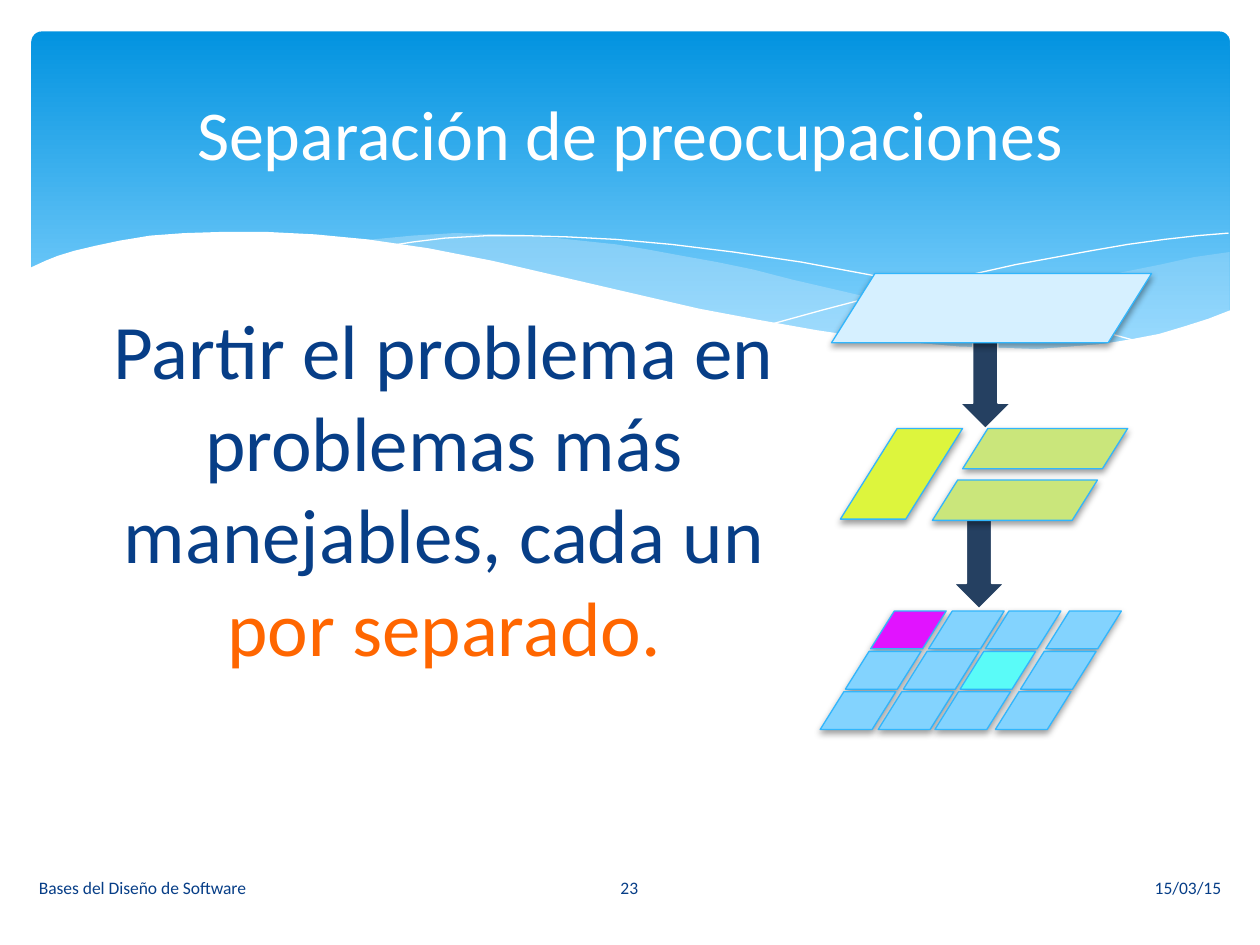
from lxml.etree import SubElement
from pptx import Presentation
from pptx.dml.color import RGBColor
from pptx.enum.shapes import MSO_SHAPE
from pptx.enum.text import MSO_ANCHOR, PP_ALIGN
from pptx.oxml.ns import qn
from pptx.util import Inches, Pt

WHITE = RGBColor(0xFF, 0xFF, 0xFF)
NAVY = RGBColor(0x07, 0x3E, 0x87)
ORANGE = RGBColor(0xFF, 0x66, 0x00)
DEEP = RGBColor(0x02, 0x93, 0xE0)
SKY = RGBColor(0x83, 0xD3, 0xFE)
MIST = RGBColor(0xC6, 0xE7, 0xFC)
PALE = RGBColor(0xD6, 0xF0, 0xFF)
EDGE = RGBColor(0x31, 0xB6, 0xFD)
LIME = RGBColor(0xDD, 0xF5, 0x3D)
GREEN = RGBColor(0xCA, 0xE6, 0x7B)
PINK = RGBColor(0xE1, 0x13, 0xFF)
AQUA = RGBColor(0x5A, 0xFB, 0xF8)
SLATE = RGBColor(0x25, 0x40, 0x61)

RIGHT_WAVE = [
    (9.76, 2), (9.48, 2.04), (9.21, 2.1), (8.91, 2.16), (8.61, 2.23),
    (8.05, 2.37), (7.53, 2.48), (7.06, 2.57), (6.61, 2.65), (6.91, 2.69),
    (7.19, 2.72), (7.45, 2.75), (7.69, 2.77), (8.03, 2.78), (8.35, 2.77),
    (8.63, 2.75), (8.89, 2.72), (9.13, 2.67), (9.35, 2.62), (9.49, 2.57),
    (9.63, 2.52), (9.76, 2.47)]
LEFT_WAVE = [
    (8.93, 2.73), (8.66, 2.69), (8.37, 2.65), (8.07, 2.6), (7.75, 2.54),
    (7.41, 2.47), (7.06, 2.4), (6.68, 2.31), (6.29, 2.22), (5.98, 2.14),
    (5.69, 2.08), (5.41, 2.03), (5.14, 1.98), (4.89, 1.94), (4.42, 1.89),
    (3.99, 1.86), (3.61, 1.85), (3.28, 1.87), (2.86, 1.91), (3.23, 1.96),
    (3.62, 2.03), (4.04, 2.11), (4.49, 2.22), (4.91, 2.32), (5.3, 2.4),
    (5.66, 2.48), (6.01, 2.55), (6.34, 2.61), (6.65, 2.66), (6.95, 2.7),
    (7.22, 2.74), (7.48, 2.76), (7.85, 2.78), (8.28, 2.78), (8.57, 2.77)]
FALL_LINE = [
    (3.09, 1.95), (3.28, 1.92), (3.53, 1.89), (3.87, 1.87), (4.16, 1.87),
    (4.5, 1.88), (4.89, 1.9), (5.33, 1.94), (5.82, 2), (6.36, 2.08),
    (6.95, 2.19), (7.6, 2.33), (8.31, 2.51), (9.07, 2.72)]
RISE_LINE = [
    (6.13, 2.57), (6.53, 2.46), (6.95, 2.35), (7.48, 2.23), (8.06, 2.1),
    (8.66, 1.99), (8.95, 1.94), (9.24, 1.9), (9.51, 1.87), (9.75, 1.85)]
FRONT_WAVE = [
    (9.77, 2.46), (9.59, 2.53), (9.4, 2.59), (9.2, 2.65), (8.99, 2.69),
    (8.75, 2.73), (8.5, 2.75), (8.23, 2.77), (7.93, 2.76), (7.61, 2.75),
    (7.26, 2.72), (6.88, 2.68), (6.48, 2.62), (6.03, 2.54), (5.55, 2.45),
    (5.03, 2.33), (4.47, 2.2), (3.91, 2.07), (3.4, 1.97), (2.92, 1.9),
    (2.5, 1.86), (2.11, 1.84), (1.77, 1.84), (1.46, 1.85), (1.19, 1.87),
    (0.95, 1.91), (0.76, 1.95), (0.59, 1.99), (0.46, 2.03), (0.36, 2.07),
    (0.23, 2.13), (0.23, 3.29), (9.77, 3.29)]

WAVES = [(RIGHT_WAVE, MIST, 29), (LEFT_WAVE, MIST, 40),
         (FALL_LINE, None, 100), (RISE_LINE, None, 100),
         (FRONT_WAVE, WHITE, 100)]

TEXTS = [
    ((0.75, 2.35, 5.55, 3.4), 44, PP_ALIGN.CENTER, MSO_ANCHOR.TOP,
     [("Partir el problema en problemas más manejables, cada un ", NAVY),
      ("por separado.", ORANGE)]),
    ((5.65, 6.84, 4.14, 0.4), 10, PP_ALIGN.RIGHT, MSO_ANCHOR.MIDDLE,
     [("15/03/15", NAVY)]),
    ((0.21, 6.84, 4.14, 0.4), 10, PP_ALIGN.LEFT, MSO_ANCHOR.MIDDLE,
     [("Bases del Diseño de Software", NAVY)]),
    ((4.36, 6.84, 1.27, 0.4), 10, PP_ALIGN.CENTER, MSO_ANCHOR.MIDDLE,
     [("23", NAVY)]),
    ((0.5, 0.37, 9, 1.37), 40, PP_ALIGN.CENTER, MSO_ANCHOR.MIDDLE,
     [("Separación de preocupaciones", WHITE)])]

COLUMNS = [6.91, 7.37, 7.82, 8.3]
ACCENTS = {(0, 0): PINK, (2, 1): AQUA}

deck = Presentation()
deck.slide_width, deck.slide_height = Inches(10), Inches(7.5)
slide = deck.slides.add_slide(deck.slide_layouts[6])
shapes = slide.shapes


def add_shape(kind, box, color, edge):
    shape = shapes.add_shape(kind, *map(Inches, box))
    shape.shadow.inherit = False
    shape.fill.solid()
    shape.fill.fore_color.rgb = color
    shape.line.color.rgb = edge
    shape.line.width = Pt(0.75)
    return shape


def add_alpha(color, percent):
    SubElement(color, qn("a:alpha"), val=str(percent * 1000))


def add_tile(box, color):
    tile = add_shape(MSO_SHAPE.PARALLELOGRAM, box, color, EDGE)
    tile.adjustments[0] = 0.627
    effects = tile._element.spPr.find(qn("a:effectLst"))
    shade = SubElement(effects, qn("a:outerShdw"), blurRad=str(Pt(4)),
                       dist=str(Pt(2)), dir="5400000", rotWithShape="0")
    add_alpha(SubElement(shade, qn("a:srgbClr"), val="000000"), 38)


def add_arrow(left, top):
    add_shape(MSO_SHAPE.DOWN_ARROW, (left, top, 0.4, 0.79), SLATE, WHITE)


def add_wave(points, color, alpha):
    dots = [(Inches(x), Inches(y)) for x, y in points]
    pen = shapes.build_freeform(*dots[0])
    pen.add_line_segments(dots[1:], close=color is not None)
    wave = pen.convert_to_shape()
    wave.shadow.inherit = False
    if color is None:
        wave.fill.background()
        wave.line.color.rgb = WHITE
        wave.line.width = Pt(0)
        return
    wave.fill.solid()
    wave.fill.fore_color.rgb = color
    wave.line.fill.background()
    if alpha < 100:
        add_alpha(wave._element.spPr.find(".//" + qn("a:srgbClr")), alpha)


def add_text(box, size, align, anchor, parts):
    frame = shapes.add_textbox(*map(Inches, box)).text_frame
    frame.word_wrap = True
    frame.vertical_anchor = anchor
    para = frame.paragraphs[0]
    para.alignment = align
    for words, color in parts:
        run = para.add_run()
        run.text = words
        run.font.name = "Calibri"
        run.font.size = Pt(size)
        run.font.color.rgb = color


banner = add_shape(MSO_SHAPE.ROUNDED_RECTANGLE, (0.25, 0.25, 9.51, 2.7), DEEP, DEEP)
banner.adjustments[0] = 0.03
banner.line.fill.background()
banner.fill.gradient()
banner.fill.gradient_angle = 270
for stop, color, place in zip(banner.fill.gradient_stops, (DEEP, SKY), (0, 0.9)):
    stop.color.rgb = color
    stop.position = place

for wave in WAVES:
    add_wave(*wave)
for text in TEXTS:
    add_text(*text)

add_tile((6.67, 3.4, 0.97, 0.72), LIME)
add_tile((7.64, 3.4, 1.31, 0.32), GREEN)
for col, left in enumerate(COLUMNS):
    for row in range(3):
        add_tile((left - 0.2 * row, 4.85 + 0.32 * row, 0.6, 0.3),
                 ACCENTS.get((col, row), SKY))
add_arrow(7.62, 2.61)
add_tile((6.6, 2.17, 2.54, 0.55), PALE)
add_arrow(7.57, 4.04)
add_tile((7.4, 3.81, 1.31, 0.32), GREEN)

deck.save("out.pptx")
